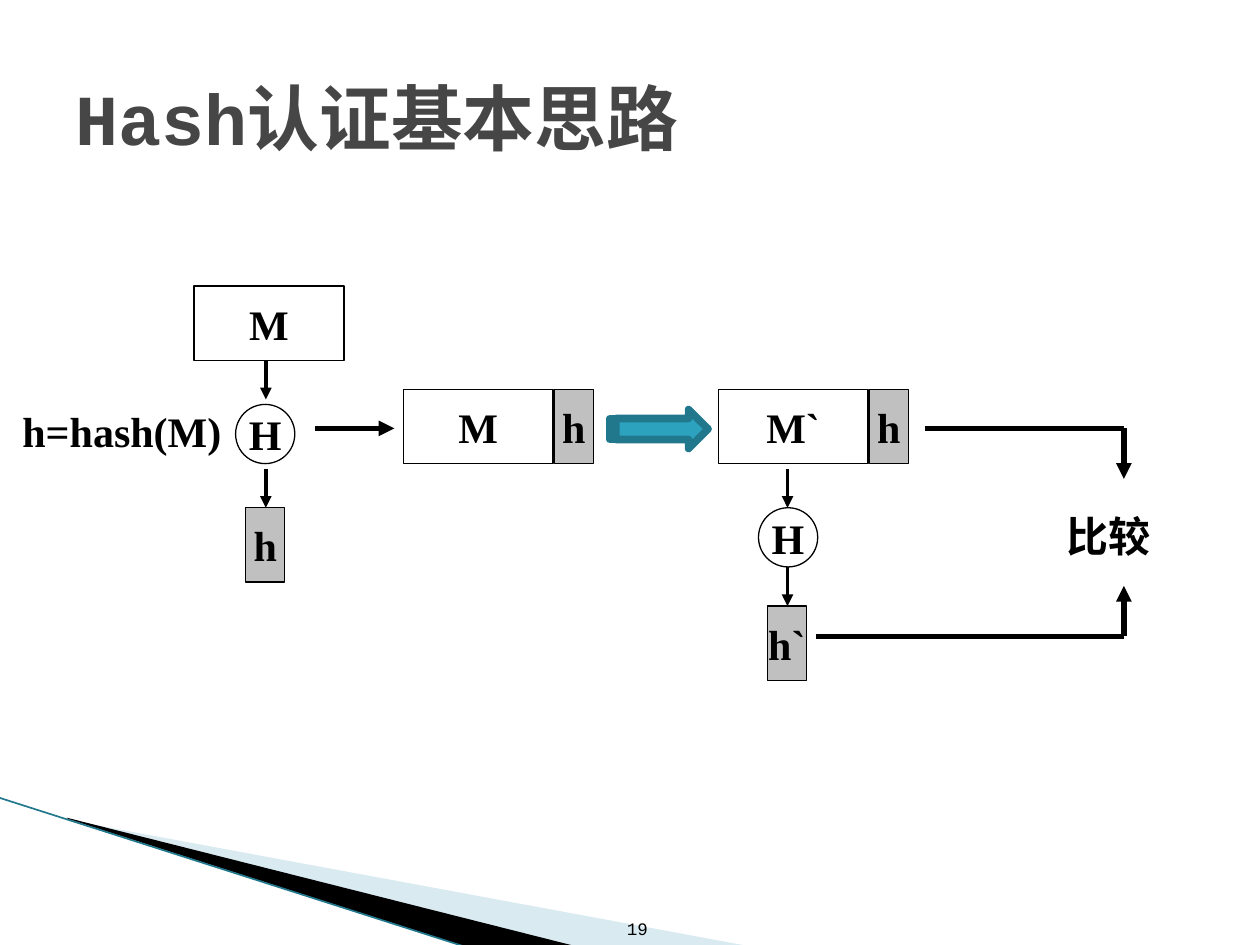
from lxml.etree import SubElement
from pptx import Presentation
from pptx.dml.color import RGBColor
from pptx.enum.shapes import MSO_CONNECTOR, MSO_SHAPE
from pptx.enum.text import MSO_ANCHOR, PP_ALIGN
from pptx.oxml.ns import qn
from pptx.util import Inches, Pt

COLORS = {
    "ink": "000000", "title": "464646", "paper": "FFFFFF", "digest": "C0C0C0",
    "channel": "2DA2BF", "channel_edge": "21788D", "pale": "A0CBDC",
}
MONO, SERIF = "Courier New", "Times New Roman"
COLUMNS, ROWS = 100, 75


def rgb(name):
    return RGBColor.from_string(COLORS[name])


class Board:
    """Draws on one slide; all lengths are grid columns and rows."""

    def __init__(self, deck):
        self.slide = deck.slides.add_slide(deck.slide_layouts[6])
        self.shapes = self.slide.shapes
        self.column = deck.slide_width / COLUMNS
        self.row = deck.slide_height / ROWS

    def point(self, x, y):
        return round(x * self.column), round(y * self.row)

    def set_text(self, shape, text, size, font, color, align, anchor, wrap, bold):
        frame = shape.text_frame
        frame.text = text
        frame.word_wrap = wrap
        frame.vertical_anchor = anchor
        paragraph = frame.paragraphs[0]
        paragraph.alignment = align
        for run in paragraph.runs:
            run.font.name, run.font.size, run.font.bold = font, Pt(size), bold
            run.font.color.rgb = rgb(color)

    def label(self, x, y, width, height, text, size=24, font=SERIF, color="ink",
              align=PP_ALIGN.LEFT, anchor=MSO_ANCHOR.TOP, bold=True):
        box = self.shapes.add_textbox(*self.point(x, y), *self.point(width, height))
        self.set_text(box, text, size, font, color, align, anchor, True, bold)

    def preset(self, kind, x, y, width, height, fill, line="ink", weight=0.75):
        shape = self.shapes.add_shape(kind, *self.point(x, y), *self.point(width, height))
        shape.shadow.inherit = False
        shape.fill.solid()
        shape.fill.fore_color.rgb = rgb(fill)
        shape.line.color.rgb = rgb(line)
        shape.line.width = Pt(weight)
        return shape

    def node(self, kind, x, y, width, height, text, fill="paper"):
        shape = self.preset(kind, x, y, width, height, fill)
        self.set_text(shape, text, 24, SERIF, "ink", PP_ALIGN.CENTER,
                      MSO_ANCHOR.MIDDLE, False, True)

    def message(self, x, y, text):
        self.node(MSO_SHAPE.RECTANGLE, x, y, 11.9, 5.9, text)

    def digest(self, x, y, text):
        self.node(MSO_SHAPE.RECTANGLE, x, y, 3.1, 5.9, text, "digest")

    def packet(self, x, y, text):
        """A message with its digest attached."""
        self.message(x, y, text)
        self.digest(x + 12, y, "h")

    def hash_step(self, x, y):
        self.node(MSO_SHAPE.OVAL, x, y, 4.7, 4.7, "H")

    def line(self, start, end, weight=3, color="ink", arrow=True):
        connector = self.shapes.add_connector(
            MSO_CONNECTOR.STRAIGHT, *self.point(*start), *self.point(*end))
        connector.line.color.rgb = rgb(color)
        connector.line.width = Pt(weight)
        properties = connector._element.spPr
        if arrow:
            SubElement(properties.find(qn("a:ln")), qn("a:tailEnd"), type="triangle")
        SubElement(properties, qn("a:effectLst"))

    def down_arrow(self, x, y):
        self.line((x, y), (x, y + 3.1), 2.25)

    def elbow(self, *stops):
        """Straight pieces through the stops, with an arrowhead on the last."""
        for start, end in zip(stops, stops[1:]):
            self.line(start, end, arrow=end == stops[-1])

    def polygon(self, points, fill, opacity=100):
        start, *others = [self.point(*corner) for corner in points]
        builder = self.shapes.build_freeform(*start)
        builder.add_line_segments(others, close=True)
        shape = builder.convert_to_shape()
        shape.shadow.inherit = False
        shape.fill.solid()
        shape.fill.fore_color.rgb = rgb(fill)
        shape.line.fill.background()
        if opacity < 100:
            color = shape._element.spPr.find(qn("a:solidFill"))[0]
            SubElement(color, qn("a:alpha"), val=str(opacity * 1000))

    def channel(self, x, y, width, height):
        arrow = self.preset(MSO_SHAPE.STRIPED_RIGHT_ARROW, x, y, width, height,
                            "channel", "channel_edge", 4.33)
        arrow.adjustments[0] = 0.54
        SubElement(arrow._element.spPr.find(qn("a:ln")), qn("a:round"))


def draw_frame(board):
    board.polygon([(5.5, 65.1), (59.5, 75.1), (45.6, 75.1), (5.5, 65)], "pale", 40)
    board.polygon([(5.3, 64.9), (45.7, 75.1), (37.2, 75.2), (5.4, 65)], "ink")
    board.line((-0.1, 63.3), (37.1, 75.2), 0.95, "channel_edge", arrow=False)
    board.label(46.8, 70.1, 5.6, 4.9, "19", 10, MONO, align=PP_ALIGN.RIGHT,
                anchor=MSO_ANCHOR.BOTTOM, bold=False)
    board.label(5, 3, 90, 12.5, "Hash认证基本思路", 41, MONO, "title",
                anchor=MSO_ANCHOR.MIDDLE)


def draw_sender(board):
    board.message(15.4, 22.7, "M")
    board.hash_step(18.7, 32.1)
    board.digest(19.5, 40.3, "h")
    for top in (28.6, 37.2):
        board.down_arrow(21.1, top)
    board.label(0.8, 31.7, 18, 5, "h=hash(M)")
    board.line((25, 34), (31.3, 34))
    board.packet(32, 30.9, "M")


def draw_receiver(board):
    board.channel(48.4, 32.5, 7.8, 3.1)
    board.packet(57, 30.9, "M`")
    board.hash_step(60.2, 40.3)
    board.digest(60.9, 48.1, "h`")
    for top in (37.2, 45):
        board.down_arrow(62.5, top)
    board.elbow((73.4, 34), (89.2, 34), (89.2, 38))
    board.elbow((64.8, 50.5), (89.2, 50.5), (89.2, 46.5))
    board.label(83.7, 40, 9.4, 5, "比较")


def main():
    deck = Presentation()
    deck.slide_width, deck.slide_height = Inches(10), Inches(7.5)
    board = Board(deck)
    draw_frame(board)
    draw_sender(board)
    draw_receiver(board)
    deck.save("out.pptx")


if __name__ == "__main__":
    main()
